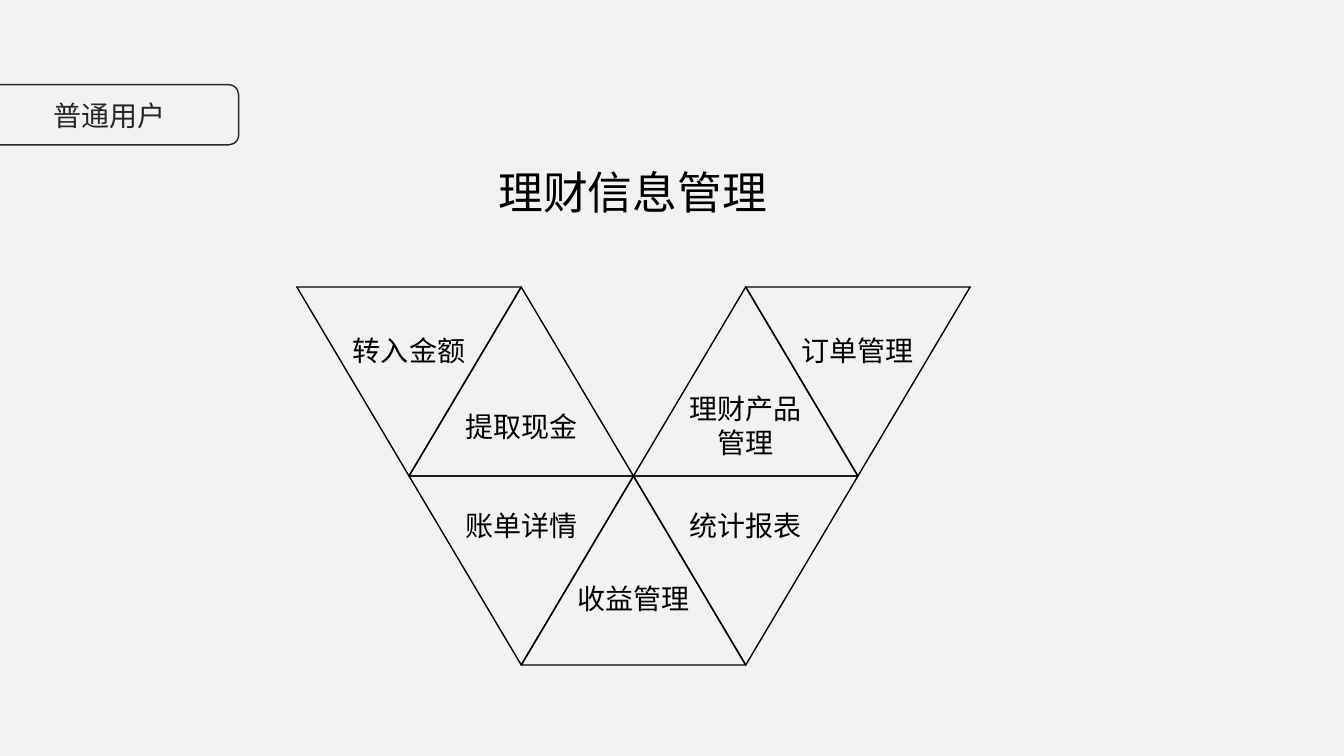
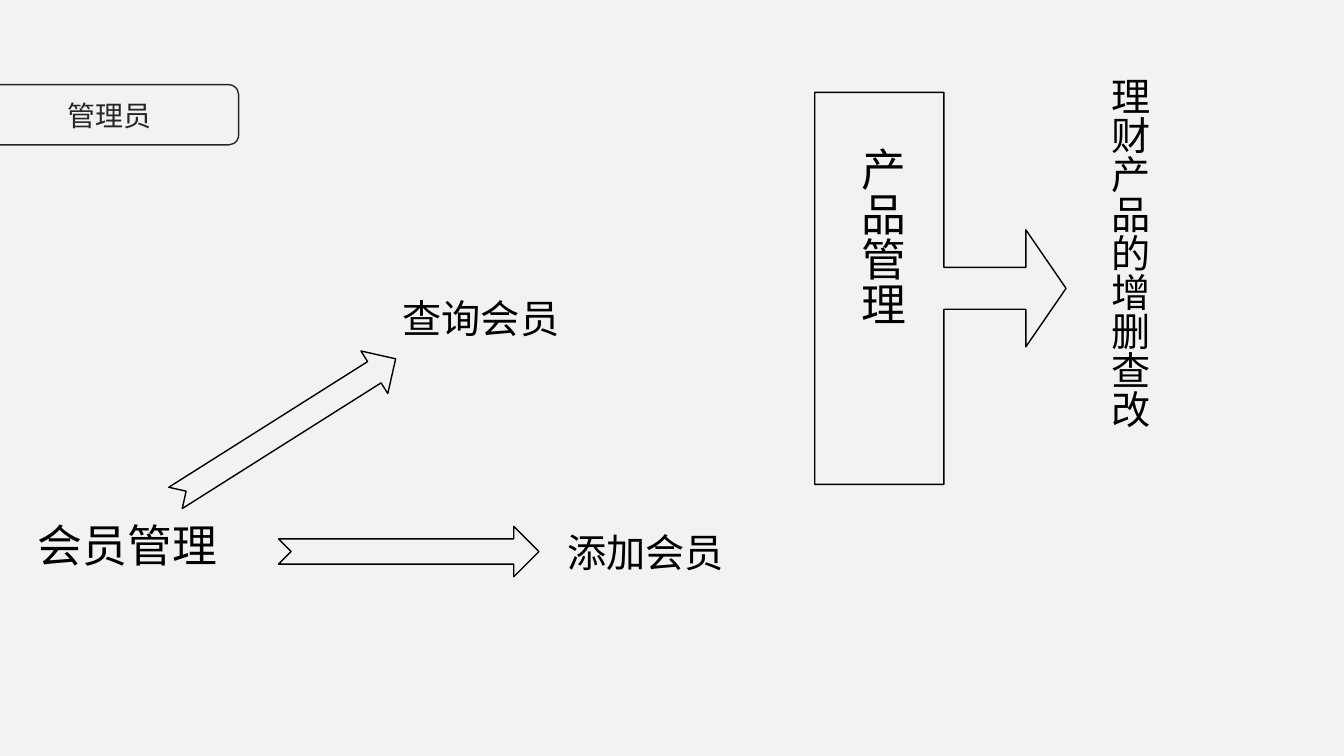
import pptx
import pptx.util
import pptx.dml.color
import pptx.enum.shapes
import pptx.enum.text
import pptx.oxml.ns
import lxml.etree

Pt = pptx.util.Pt
RGB = pptx.dml.color.RGBColor
SHAPE = pptx.enum.shapes.MSO_SHAPE
ALIGN = pptx.enum.text.PP_ALIGN
ANCHOR = pptx.enum.text.MSO_ANCHOR
AUTO = pptx.enum.text.MSO_AUTO_SIZE

BLACK = RGB(0x00, 0x00, 0x00)
DARK = RGB(0x26, 0x26, 0x26)
PAPER = RGB(0xF2, 0xF2, 0xF2)
FONT = "Noto Sans CJK SC"
TITLE_ONLY = 5

# column (half a triangle wide), row, points up, label, label offset from the row's top
TRIANGLES = [
    (0, 0, False, "转入金额", 29.5),
    (1, 0, True, "提取现金", 84),
    (3, 0, True, "理财产品管理", 71),
    (4, 0, False, "订单管理", 29.5),
    (1, 1, False, "账单详情", 20),
    (2, 1, True, "收益管理", 72),
    (3, 1, False, "统计报表", 20),
]


def set_text(sp, text, size, color=BLACK, align=ALIGN.CENTER, wrap=True):
    tf = sp.text_frame
    tf.text = text
    tf.word_wrap = wrap
    tf.auto_size = AUTO.NONE
    p = tf.paragraphs[0]
    p.alignment = align
    r = p.runs[0]
    r.font.size = Pt(size)
    r.font.color.rgb = color
    r.font.name = FONT
    ea = lxml.etree.SubElement(r.font._element, pptx.oxml.ns.qn("a:ea"))
    ea.set("typeface", FONT)


def add_text(slide, box, text, size, vertical=False):
    sp = slide.shapes.add_textbox(*map(Pt, box))
    set_text(sp, text, size, align=ALIGN.LEFT if vertical else ALIGN.CENTER)
    if vertical:
        sp.text_frame._txBody.bodyPr.set("vert", "eaVert")


def add_outline(slide, kind, box, color=BLACK, rotation=0):
    sp = slide.shapes.add_shape(kind, *map(Pt, box))
    sp.shadow.inherit = False
    sp.fill.background()
    sp.line.color.rgb = color
    sp.line.width = Pt(1)
    sp.rotation = rotation
    return sp


def add_tagged_slide(prs, title):
    """Add a slide whose title sits in a tag at the left edge."""
    slide = prs.slides.add_slide(prs.slide_layouts[TITLE_ONLY])
    left, top, width, height = -42.5, 60.5, 213, 43
    add_outline(slide, SHAPE.ROUNDED_RECTANGLE, (left, top, width, height), DARK)
    sp = slide.shapes.title
    sp.left, sp.top, sp.width, sp.height = map(Pt, (0, top, 156, height))
    set_text(sp, title, 20, DARK, wrap=False)
    sp.text_frame.vertical_anchor = ANCHOR.MIDDLE
    return slide


def add_triangles(slide, left, top, width, height):
    """Fill the box with two rows of triangles that form a V."""
    step, row_h, label_w = width / 6, height / 2, 104
    for col, row, up, label, offset in TRIANGLES:
        x, y = left + col * step, top + row * row_h
        add_outline(slide, SHAPE.ISOSCELES_TRIANGLE, (x, y, 2 * step, row_h),
                    rotation=0 if up else 180)
        add_text(slide, (x + step - label_w / 2, y + offset, label_w, 32), label, 20)


def add_member_area(slide, left, top):
    arrow_w, arrow_h = 186, 36
    add_text(slide, (left, top + 160, 182, 46), "会员管理", 32)
    add_text(slide, (left + 274, top, 139, 41), "查询会员", 28)
    add_text(slide, (left + 384, top + 167, 154, 41), "添加会员", 28)
    for x, y, rotation in ((111, 81.5, 327.7), (199, 169.5, 0)):
        add_outline(slide, SHAPE.NOTCHED_RIGHT_ARROW,
                    (left + x, top + y, arrow_w, arrow_h), rotation=rotation)


def add_product_area(slide, left, top):
    sp = add_outline(slide, SHAPE.RIGHT_ARROW_CALLOUT, (left, top, 179.5, 280))
    for i, value in enumerate((0.15, 0.21, 0.16, 0.51)):
        sp.adjustments[i] = value
    # the shaft, head width, head length and body are shares of the callout
    for i, value in enumerate((0.167, 0.233, 0.16, 0.514)):
        sp.adjustments[i] = value
    add_text(slide, (left + 18, top + 32, 53, 197), "产品管理", 32, vertical=True)
    add_text(slide, (left + 197, top - 18, 48, 350), "理财产品的增删查改", 28, vertical=True)


def build_user_slide(prs):
    slide = add_tagged_slide(prs, "普通用户")
    add_text(slide, (263.5, 114, 377, 46), "理财信息管理", 32)
    add_triangles(slide, 212, 205, 481, 270)


def build_admin_slide(prs):
    slide = add_tagged_slide(prs, "管理员")
    add_member_area(slide, 0, 206.5)
    add_product_area(slide, 582, 66)


def main():
    prs = pptx.Presentation()
    prs.slide_width, prs.slide_height = Pt(960), Pt(540)
    fill = prs.slide_master.background.fill
    fill.solid()
    fill.fore_color.rgb = PAPER
    build_user_slide(prs)
    build_admin_slide(prs)
    prs.save("out.pptx")


if __name__ == "__main__":
    main()
